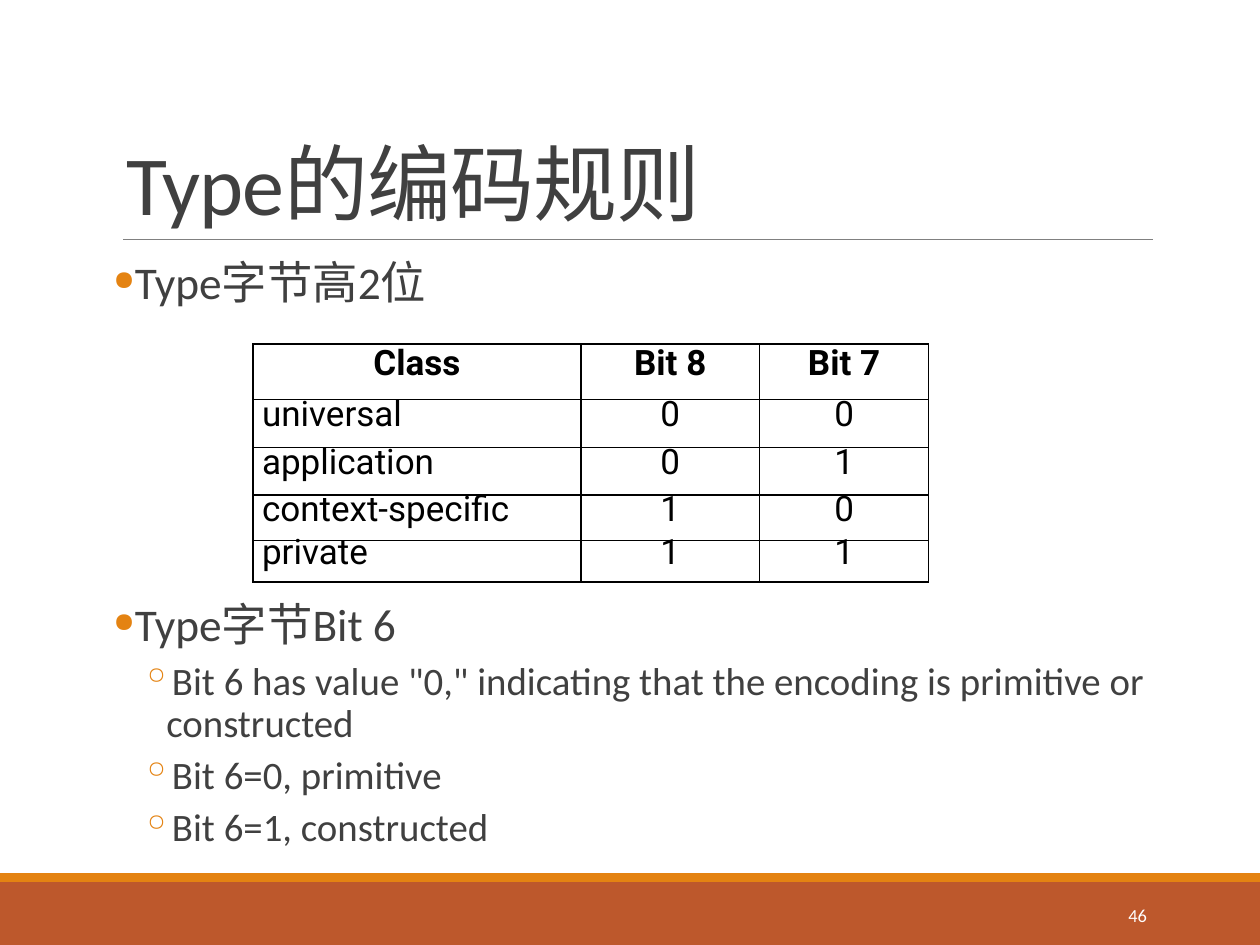
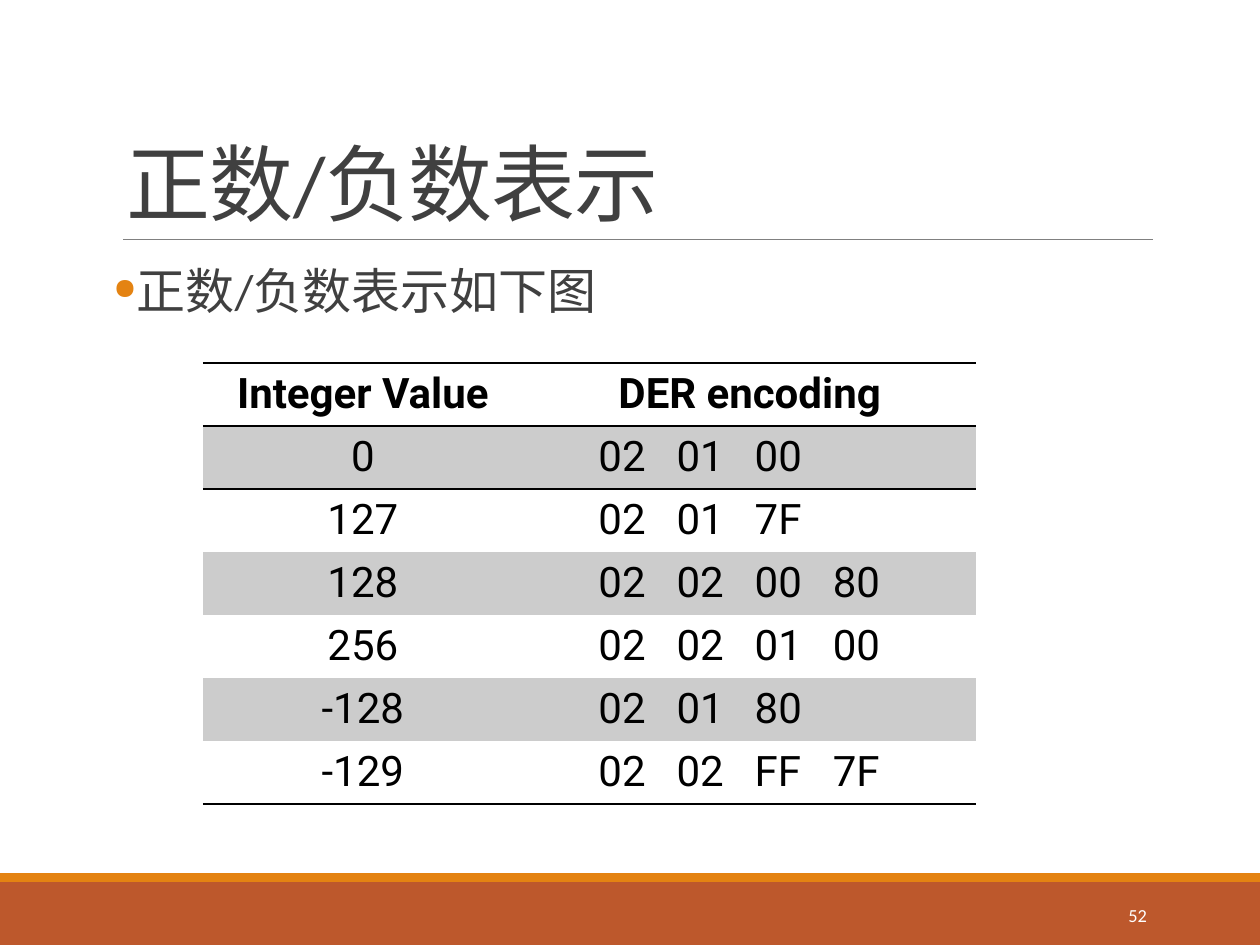
from dataclasses import dataclass

from lxml.etree import SubElement
from pptx import Presentation
from pptx.dml.color import RGBColor
from pptx.enum.shapes import MSO_CONNECTOR, MSO_SHAPE
from pptx.enum.text import MSO_ANCHOR, MSO_AUTO_SIZE, PP_ALIGN
from pptx.oxml import parse_xml
from pptx.oxml.ns import nsdecls, qn
from pptx.util import Inches, Pt


@dataclass(frozen=True)
class Theme:
    text: str = "404040"
    accent: str = "E48312"
    band: str = "BD582C"
    rule: str = "808080"
    ink: str = "000000"
    stripe: str = "CCCCCC"
    white: str = "FFFFFF"
    body_font: str = "Calibri"
    table_font: str = "Roboto"
    title_size: float = 48
    number_size: float = 10.5
    border: float = 1


THEME = Theme()
NO_TABLE_STYLE = "{2D5ABB26-0587-4C30-8999-92F81FD0307C}"
BYTE_PITCH = 0.62
CENTER, LEFT = PP_ALIGN.CENTER, PP_ALIGN.LEFT

BULLETS = [
    {"char": "●", "percent": 60, "margin": 0.1, "hang": 0.1},
    {"char": "◦", "percent": 100, "margin": 0.42, "hang": 0.2},
]

TYPE_RULES = {
    "title": "Type的编码规则",
    "number": "46",
    "body": {
        "height": 5.12, "spacing": 0.9, "sizes": (25.9, 22.2),
        "points": [
            (0, "Type字节高2位", 3),
            (0, "Type字节Bit 6", 164),
            (1, 'Bit 6 has value "0," indicating that the encoding is primitive or constructed', 3),
            (1, "Bit 6=0, primitive", 3),
            (1, "Bit 6=1, constructed", 3),
        ],
    },
    "table": {
        "at": (2.01, 2.73), "widths": (2.6, 1.42, 1.34),
        "heights": (0.44, 0.38, 0.38, 0.36, 0.33),
        "size": 20, "aligns": (LEFT, CENTER, CENTER),
        "margins": ((0.07, 0),) * 3, "spacing": Pt(13.7), "anchor": MSO_ANCHOR.MIDDLE,
        "grid": True, "striped": False,
        "rows": [
            ("Class", "Bit 8", "Bit 7"),
            ("universal", "0", "0"),
            ("application", "0", "1"),
            ("context-specific", "1", "0"),
            ("private", "1", "1"),
        ],
    },
}

SIGNED_INTEGERS = {
    "title": "正数/负数表示",
    "number": "52",
    "body": {
        "height": 4.4, "spacing": 1.0, "sizes": (28,),
        "points": [(0, "正数/负数表示如下图", 3)],
    },
    "table": {
        "at": (1.61, 2.88), "widths": (2.54, 3.6), "heights": (0.49,) * 7,
        "size": 24, "aligns": (CENTER, LEFT),
        "margins": ((0.1, 0.05), (0.6, 0.05)), "spacing": 1.0, "anchor": MSO_ANCHOR.TOP,
        "grid": False, "striped": True,
        "rows": [
            ("Integer Value", "DER encoding"),
            ("0", "02\t01\t00"),
            ("127", "02\t01\t7F"),
            ("128", "02\t02\t00\t80"),
            ("256", "02\t02\t01\t00"),
            ("-128", "02\t01\t80"),
            ("-129", "02\t02\tFF\t7F"),
        ],
    },
}


def rgb(color):
    return RGBColor.from_string(color)


def style(paragraph, family, size, color, bold=False):
    font = paragraph.font
    font.name, font.size, font.bold = family, Pt(size), bold
    font.color.rgb = rgb(color)


def add_bullet(paragraph, bullet):
    properties = paragraph._p.get_or_add_pPr()
    properties.set("marL", str(Inches(bullet["margin"])))
    properties.set("indent", str(-Inches(bullet["hang"])))
    color = SubElement(properties, qn("a:buClr"))
    SubElement(color, qn("a:srgbClr")).set("val", THEME.accent)
    SubElement(properties, qn("a:buSzPct")).set("val", str(bullet["percent"] * 1000))
    SubElement(properties, qn("a:buChar")).set("char", bullet["char"])


def add_byte_tabs(paragraph):
    tabs = SubElement(paragraph._p.get_or_add_pPr(), qn("a:tabLst"))
    for count in (1, 2, 3):
        tab = SubElement(tabs, qn("a:tab"))
        tab.set("pos", str(Inches(BYTE_PITCH * count)))
        tab.set("algn", "l")


def add_band(slide, top, height, color):
    band = slide.shapes.add_shape(
        MSO_SHAPE.RECTANGLE, 0, Inches(top), Inches(10), Inches(height))
    band.shadow.inherit = False
    band.fill.solid()
    band.fill.fore_color.rgb = rgb(color)
    band.line.fill.background()


def add_frame(slide, number):
    add_band(slide, 7, 0.5, THEME.band)
    add_band(slide, 6.93, 0.07, THEME.accent)
    rule = slide.shapes.add_connector(
        MSO_CONNECTOR.STRAIGHT, Inches(0.98), Inches(1.9), Inches(9.15), Inches(1.9))
    rule.line.color.rgb = rgb(THEME.rule)
    rule.line.width = Pt(0.5)
    SubElement(rule._element.spPr, qn("a:effectLst"))
    frame = slide.shapes.add_textbox(
        Inches(8.12), Inches(7.06), Inches(1.08), Inches(0.4)).text_frame
    frame.word_wrap = True
    frame.vertical_anchor = MSO_ANCHOR.MIDDLE
    frame.text = number
    frame.paragraphs[0].alignment = PP_ALIGN.RIGHT
    style(frame.paragraphs[0], THEME.body_font, THEME.number_size, THEME.white)


def set_title(slide, text):
    title = slide.shapes.title
    title.left, title.top = Inches(0.9), Inches(0.31)
    title.width, title.height = Inches(8.25), Inches(1.59)
    frame = title.text_frame
    frame.text = text
    frame.auto_size = MSO_AUTO_SIZE.NONE
    frame.vertical_anchor = MSO_ANCHOR.BOTTOM
    heading = frame.paragraphs[0]
    heading.alignment = LEFT
    heading.line_spacing = 0.85
    style(heading, THEME.body_font, THEME.title_size, THEME.text)
    heading._p.pPr.find(qn("a:defRPr")).set("spc", "-50")


def add_body(slide, body):
    frame = slide.shapes.add_textbox(
        Inches(0.9), Inches(2.02), Inches(8.25), Inches(body["height"])).text_frame
    frame.word_wrap = True
    frame.margin_left = frame.margin_right = 0
    for index, (level, text, before) in enumerate(body["points"]):
        point = frame.add_paragraph() if index else frame.paragraphs[0]
        point.text = text
        point.level = level
        add_bullet(point, BULLETS[level])
        point.line_spacing = body["spacing"]
        point.space_before, point.space_after = Pt(before), Pt(3)
        style(point, THEME.body_font, body["sizes"][level], THEME.text)


def set_borders(cell, sides):
    properties = cell._tc.get_or_add_tcPr()
    for index, side in enumerate(sides):
        properties.insert(index, parse_xml(
            f'<a:ln{side} {nsdecls("a")} w="{Pt(THEME.border)}"><a:solidFill>'
            f'<a:srgbClr val="{THEME.ink}"/></a:solidFill></a:ln{side}>'))


def border_sides(row, last_row, grid):
    if grid:
        return "LRTB"
    return {0: "TB", 1: "T", last_row: "B"}.get(row, "")


def add_encoding_table(slide, spec):
    rows, widths, heights = spec["rows"], spec["widths"], spec["heights"]
    left, top = spec["at"]
    table = slide.shapes.add_table(
        len(rows), len(widths), Inches(left), Inches(top),
        Inches(sum(widths)), Inches(sum(heights))).table
    table._tbl.tblPr.find(qn("a:tableStyleId")).text = NO_TABLE_STYLE
    table.horz_banding = False
    for column, width in zip(table.columns, widths):
        column.width = Inches(width)
    for r, values in enumerate(rows):
        table.rows[r].height = Inches(heights[r])
        for c, value in enumerate(values):
            cell = table.cell(r, c)
            side, edge = spec["margins"][c] if r else (spec["margins"][0])
            cell.margin_left = Inches(side)
            cell.margin_right = Inches(spec["margins"][0][0])
            cell.margin_top = cell.margin_bottom = Inches(edge)
            cell.vertical_anchor = spec["anchor"]
            cell.text = value
            entry = cell.text_frame.paragraphs[0]
            entry.alignment = spec["aligns"][c] if r else CENTER
            entry.line_spacing = spec["spacing"]
            if "\t" in value:
                add_byte_tabs(entry)
            style(entry, THEME.table_font, spec["size"], THEME.ink, bold=r == 0)
            if spec["striped"] and r % 2:
                cell.fill.solid()
                cell.fill.fore_color.rgb = rgb(THEME.stripe)
            else:
                cell.fill.background()
            set_borders(cell, border_sides(r, len(rows) - 1, spec["grid"]))


def main():
    deck = Presentation()
    deck.slide_width, deck.slide_height = Inches(10), Inches(7.5)
    for content in (TYPE_RULES, SIGNED_INTEGERS):
        slide = deck.slides.add_slide(deck.slide_layouts[5])
        add_frame(slide, content["number"])
        set_title(slide, content["title"])
        add_body(slide, content["body"])
        add_encoding_table(slide, content["table"])
    deck.save("out.pptx")


if __name__ == "__main__":
    main()
